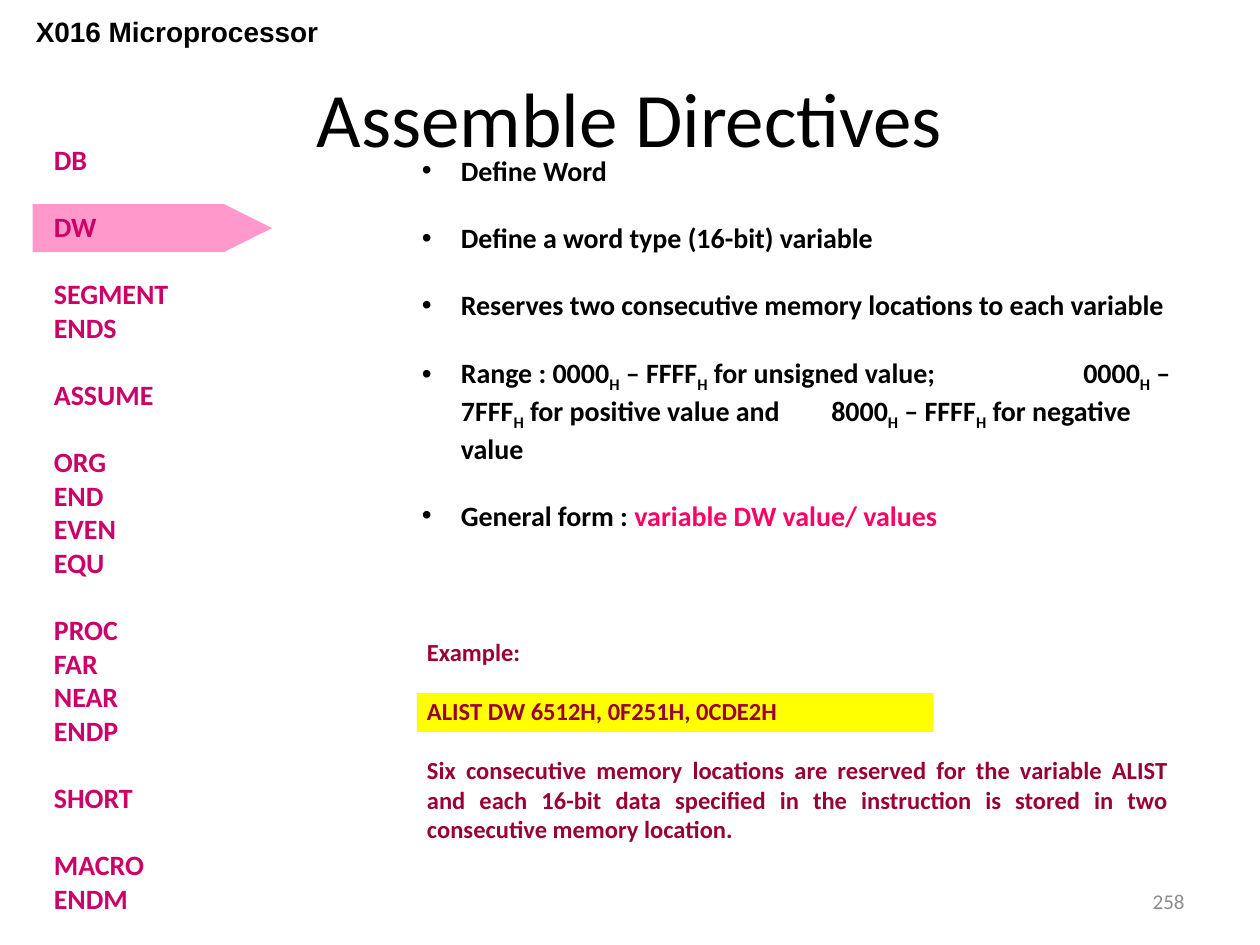
from dataclasses import dataclass

from lxml import etree
from pptx import Presentation
from pptx.dml.color import RGBColor
from pptx.enum.shapes import MSO_SHAPE
from pptx.enum.text import MSO_ANCHOR, PP_ALIGN
from pptx.oxml.ns import qn
from pptx.util import Inches, Pt

RECTANGLE = MSO_SHAPE.RECTANGLE
POINTER = MSO_SHAPE.FLOWCHART_OFFPAGE_CONNECTOR
TOP, MIDDLE = MSO_ANCHOR.TOP, MSO_ANCHOR.MIDDLE
LEFT, CENTER, RIGHT, JUSTIFY = PP_ALIGN.LEFT, PP_ALIGN.CENTER, PP_ALIGN.RIGHT, PP_ALIGN.JUSTIFY
TITLE_ONLY = 5


@dataclass(frozen=True)
class Theme:
    """Fonts, type sizes and colours of the slide."""
    body_font: str = "Calibri"
    header_font: str = "Arial"
    title_size: int = 44
    body_size: int = 16
    example_size: int = 14
    number_size: int = 12
    line_height: float = 1.2
    ink: str = "000000"
    grey: str = "8C8C8C"
    menu: str = "CC0066"
    syntax: str = "FF0066"
    example: str = "990033"
    pointer: str = "FF99CC"
    highlight: str = "FFFF00"


THEME = Theme()

MENU_GROUPS = [
    ["DB"], ["DW"], ["SEGMENT", "ENDS"], ["ASSUME"], ["ORG", "END", "EVEN", "EQU"],
    ["PROC", "FAR", "NEAR", "ENDP"], ["SHORT"], ["MACRO", "ENDM"],
]
DEFINITIONS = [
    "Define Word",
    "Define a word type (16-bit) variable",
    "Reserves two consecutive memory locations to each variable",
]
RANGE_PARTS = [
    "Range : 0000", " – FFFF", " for unsigned value;\t0000", " – 7FFF",
    " for positive value and\t8000", " – FFFF", " for negative value",
]
EXAMPLE = [
    "Example:",
    "ALIST DW 6512H, 0F251H, 0CDE2H",
    "Six consecutive memory locations are reserved for the variable ALIST and each 16-bit data "
    "specified in the instruction is stored in two consecutive memory location.",
]


def add_run(paragraph, text, size, color, bold=True, font=THEME.body_font):
    """Append one formatted run and return it."""
    run = paragraph.add_run()
    run.text = text
    run.font.name = font
    run.font.size = Pt(size)
    run.font.bold = bold
    run.font.color.rgb = RGBColor.from_string(color)
    return run


def add_filled_shape(slide, kind, left, top, width, height, color):
    """Add a borderless shape in one flat colour."""
    shape = slide.shapes.add_shape(kind, Inches(left), Inches(top), Inches(width), Inches(height))
    shape.shadow.inherit = False
    shape.fill.solid()
    shape.fill.fore_color.rgb = RGBColor.from_string(color)
    shape.line.fill.background()
    return shape


def add_text_frame(slide, left, top, width, height, anchor=TOP):
    """Add a wrapping text box and return its text frame."""
    box = slide.shapes.add_textbox(Inches(left), Inches(top), Inches(width), Inches(height))
    box.text_frame.word_wrap = True
    box.text_frame.vertical_anchor = anchor
    return box.text_frame


def next_paragraph(text_frame, size, alignment=LEFT, gap=True):
    """Return the next paragraph, one line apart from the one before if gap is set."""
    first = text_frame.paragraphs[0]
    paragraph = text_frame.add_paragraph() if first.runs else first
    paragraph.alignment = alignment
    if gap and paragraph is not first:
        paragraph.space_before = Pt(size * THEME.line_height)
    return paragraph


def add_bullet(paragraph, tab_stops=()):
    """Give a paragraph a hanging bullet and optional tab stops in inches."""
    properties = paragraph._p.get_or_add_pPr()
    properties.set("marL", str(Inches(0.31)))
    properties.set("indent", str(Inches(-0.31)))
    etree.SubElement(properties, qn("a:buFont"), typeface=THEME.header_font)
    etree.SubElement(properties, qn("a:buChar"), char="•")
    if tab_stops:
        tabs = etree.SubElement(properties, qn("a:tabLst"))
        for stop in tab_stops:
            etree.SubElement(tabs, qn("a:tab"), pos=str(Inches(stop)), algn="l")


def add_title(slide):
    """Place and format the title placeholder."""
    title = slide.shapes.title
    title.left, title.top, title.width, title.height = map(Inches, (0.5, 0.3, 9, 1.25))
    title.text_frame.vertical_anchor = MIDDLE
    paragraph = next_paragraph(title.text_frame, THEME.title_size, CENTER)
    add_run(paragraph, "Assemble Directives", THEME.title_size, THEME.ink, bold=False)


def add_header_and_number(slide):
    """Add the course name and the page number."""
    header = next_paragraph(add_text_frame(slide, 0.07, 0.07, 2.67, 0.64), THEME.body_size, CENTER)
    add_run(header, "X016 Microprocessor", THEME.body_size, THEME.ink, font=THEME.header_font)
    frame = add_text_frame(slide, 7.17, 6.95, 2.33, 0.4, MIDDLE)
    number = next_paragraph(frame, THEME.number_size, RIGHT)
    add_run(number, "258", THEME.number_size, THEME.grey, bold=False)


def add_menu(slide):
    """List the directives in groups, with a pointer behind the current one."""
    pointer = add_filled_shape(slide, POINTER, 1.02, 0.86, 0.38, 1.9, THEME.pointer)
    pointer.rotation = 270
    frame = add_text_frame(slide, 0.33, 1.08, 1.63, 6.29)
    for group in MENU_GROUPS:
        for index, directive in enumerate(group):
            paragraph = next_paragraph(frame, THEME.body_size, gap=index == 0)
            add_run(paragraph, directive, THEME.body_size, THEME.menu)


def add_definitions(slide):
    """Add the bulleted description of the directive."""
    size = THEME.body_size
    frame = add_text_frame(slide, 3.25, 1.17, 6.17, 3.6)
    for definition in DEFINITIONS:
        paragraph = next_paragraph(frame, size)
        add_bullet(paragraph)
        add_run(paragraph, definition, size, THEME.ink)

    value_range = next_paragraph(frame, size)
    add_bullet(value_range, tab_stops=(3.25, 5.25))
    for index, part in enumerate(RANGE_PARTS):
        if index:
            subscript = add_run(value_range, "H", size, THEME.ink)
            subscript._r.get_or_add_rPr().set("baseline", "-25000")
        add_run(value_range, part, size, THEME.ink)

    general_form = next_paragraph(frame, size)
    add_bullet(general_form)
    add_run(general_form, "General form : ", size, THEME.ink)
    add_run(general_form, "variable DW value/ values", size, THEME.syntax)


def add_example(slide):
    """Add the example with its highlighted statement."""
    add_filled_shape(slide, RECTANGLE, 3.31, 5.5, 4.1, 0.31, THEME.highlight)
    frame = add_text_frame(slide, 3.29, 5.01, 6.08, 1.99)
    for text in EXAMPLE:
        paragraph = next_paragraph(frame, THEME.example_size, JUSTIFY)
        add_run(paragraph, text, THEME.example_size, THEME.example)


def main():
    """Build and save the slide."""
    presentation = Presentation()
    presentation.slide_width, presentation.slide_height = Inches(10), Inches(7.5)
    slide = presentation.slides.add_slide(presentation.slide_layouts[TITLE_ONLY])
    add_title(slide)
    add_header_and_number(slide)
    add_menu(slide)
    add_definitions(slide)
    add_example(slide)
    presentation.save("out.pptx")


if __name__ == "__main__":
    main()
